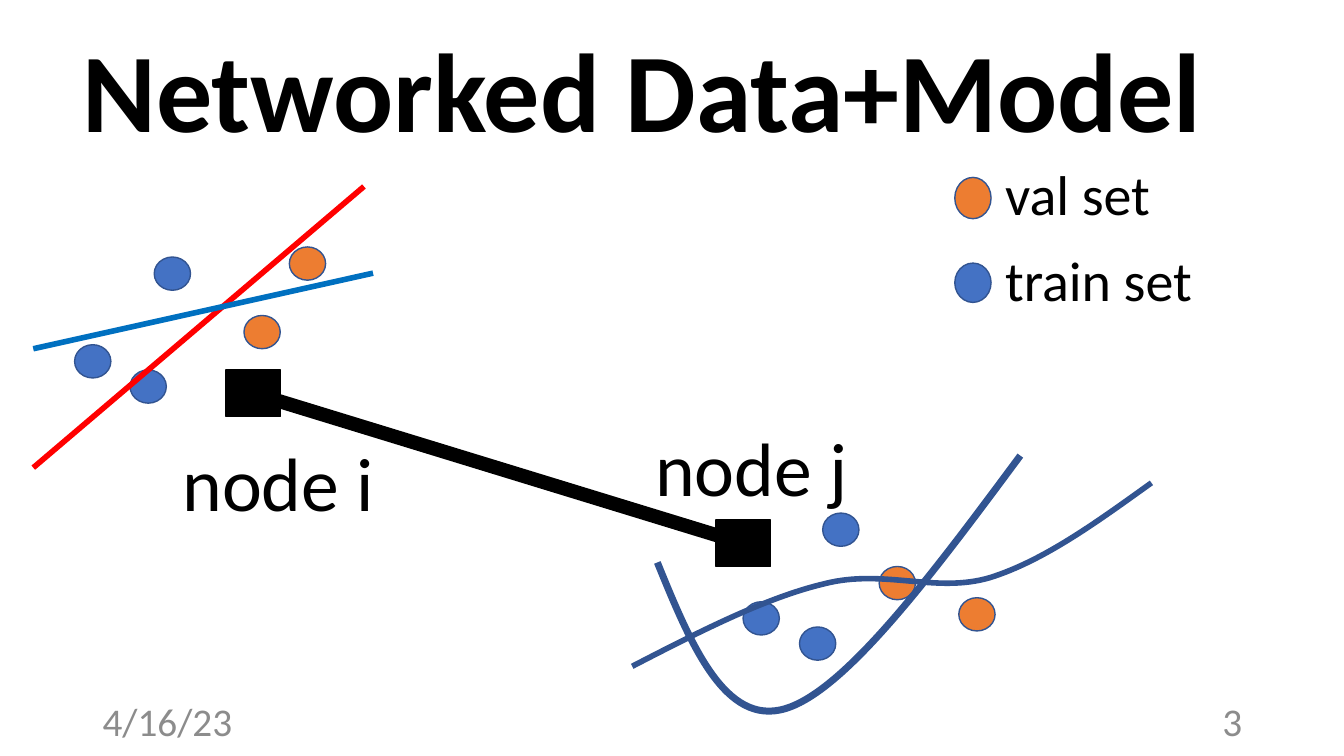
import pptx
import pptx.util
import pptx.dml.color
import pptx.enum.shapes
import pptx.enum.text
import pptx.oxml.ns
from lxml import etree

Inches = pptx.util.Inches
Pt = pptx.util.Pt
RGB = pptx.dml.color.RGBColor.from_string
KIND = pptx.enum.shapes.MSO_SHAPE
ALIGN = pptx.enum.text.PP_ALIGN
ANCHOR = pptx.enum.text.MSO_ANCHOR
qn = pptx.oxml.ns.qn

COLORS = {
    "black": "000000", "gray": "8C8C8C", "train": "4472C4", "val": "ED7D31",
    "edge": "325491", "red": "FF0000", "blue": "0070C0",
}

deck = pptx.Presentation()
deck.slide_width, deck.slide_height = Inches(13.33), Inches(7.5)
slide = deck.slides.add_slide(deck.slide_layouts[6])
shapes = slide.shapes


def add_text(text, left, top, width, height, size=40, color="black",
             bold=False, align=ALIGN.LEFT, anchor=ANCHOR.TOP, wrap=False, space=1.0):
    box = shapes.add_textbox(Inches(left), Inches(top), Inches(width), Inches(height))
    frame = box.text_frame
    frame.word_wrap = wrap
    frame.vertical_anchor = anchor
    para = frame.paragraphs[0]
    para.text = text
    para.alignment = align
    para.line_spacing = space
    font = para.font
    font.name, font.size, font.bold = "Calibri", Pt(size), bold
    font.color.rgb = RGB(COLORS[color])


def add_mark(kind, left, top, width, height, fill, line):
    mark = shapes.add_shape(kind, Inches(left), Inches(top), Inches(width), Inches(height))
    mark.shadow.inherit = False
    mark.fill.solid()
    mark.fill.fore_color.rgb = RGB(COLORS[fill])
    mark.line.color.rgb = RGB(COLORS[line])
    mark.line.width = Pt(1)


# Title and footer
add_text("Networked Data+Model", 0.72, 0.32, 12.73, 1.27, size=80, bold=True,
         anchor=ANCHOR.MIDDLE, wrap=True, space=0.9)
for text, left, align in [("3", 9.42, ALIGN.RIGHT), ("4/16/23", 0.92, ALIGN.LEFT)]:
    add_text(text, left, 6.95, 3, 0.4, size=28, color="gray", align=align,
             anchor=ANCHOR.MIDDLE, wrap=True)

# Data points around both nodes
points = {
    "train": [(1.53, 2.55), (1.29, 3.67), (0.74, 3.42),
              (8.16, 5.09), (7.93, 6.22), (7.37, 5.97)],
    "val": [(2.42, 3.13), (2.87, 2.45), (9.51, 5.93), (8.72, 5.62)],
}
for group, spots in points.items():
    for left, top in spots:
        add_mark(KIND.OVAL, left, top, 0.36, 0.33, group, "edge")

# Nodes
for left, top in [(2.24, 3.67), (7.1, 5.16)]:
    add_mark(KIND.RECTANGLE, left, top, 0.54, 0.46, "black", "black")

# Legend
for group, top, height, row, width in [("val", 1.76, 0.41, 1.53, 1.65),
                                       ("train", 2.61, 0.39, 2.39, 2.07)]:
    add_mark(KIND.OVAL, 9.47, top, 0.36, height, group, "edge")
    add_text(f"{group} set", 9.87, row, width, 0.77)

# Link between the node centres, and the linear models of node i
lines = [
    (2.51, 3.9, 7.37, 5.39, "black", 10),
    (0.33, 4.64, 3.61, 1.85, "red", 4),
    (0.33, 3.46, 3.7, 2.71, "blue", 4),
]
for x1, y1, x2, y2, color, width in lines:
    line = shapes.add_connector(pptx.enum.shapes.MSO_CONNECTOR.STRAIGHT,
                                Inches(x1), Inches(y1), Inches(x2), Inches(y2))
    line.line.color.rgb = RGB(COLORS[color])
    line.line.width = Pt(width)
    etree.SubElement(line._element.spPr, qn("a:effectLst"))

# Curved models of node j: a start, then two handles and an end per segment
curves = [
    (4, [(6.27, 6.61), (6.93, 6.27), (7.59, 5.93), (8.18, 5.79),
         (8.77, 5.64), (9.28, 5.89), (9.82, 5.73),
         (10.36, 5.56), (10.89, 5.17), (11.42, 4.79)]),
    (5, [(6.52, 5.58), (6.85, 6.39), (7.19, 7.21), (7.79, 7.03),
         (8.39, 6.85), (9.26, 5.68), (10.12, 4.52)]),
]
for width, knots in curves:
    knots = [(Inches(x), Inches(y)) for x, y in knots]
    form = shapes.build_freeform(*knots[0])
    form.add_line_segments(knots[1:], close=False)
    curve = form.convert_to_shape()
    curve.shadow.inherit = False
    curve.fill.background()
    curve.line.color.rgb = RGB(COLORS["edge"])
    curve.line.width = Pt(width)
    # Turn every three straight steps into one Bezier segment
    steps = list(curve._element.iter(qn("a:lnTo")))
    for first in range(0, len(steps), 3):
        bend = etree.Element(qn("a:cubicBezTo"))
        steps[first].addprevious(bend)
        for step in steps[first:first + 3]:
            bend.append(step[0])
            step.getparent().remove(step)

# Node labels
add_text("node i", 1.71, 4.28, 2.12, 1.01, size=54)
add_text("node j", 6.4, 4.13, 2.13, 1.01, size=54)

deck.save("out.pptx")
